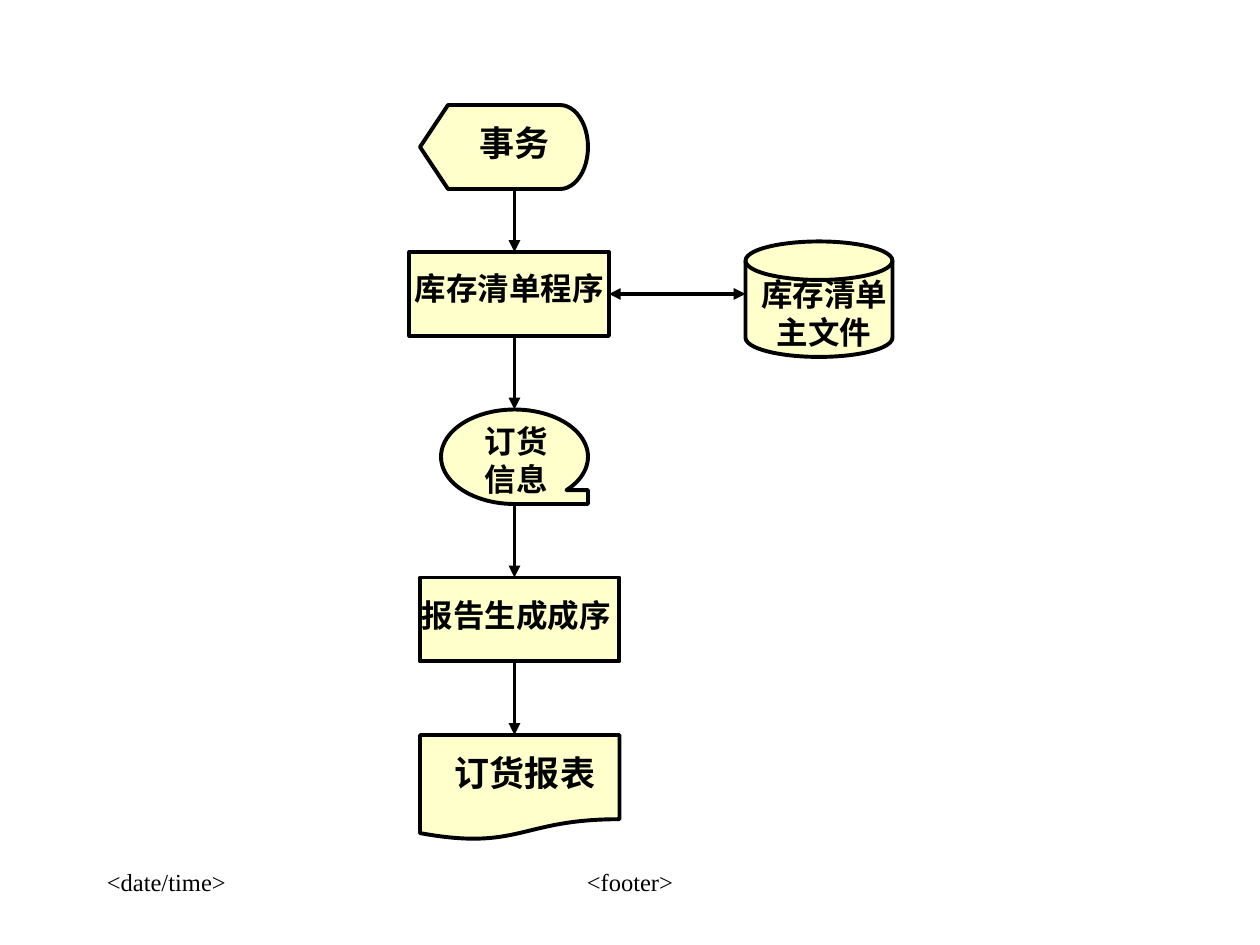
from dataclasses import dataclass

from lxml import etree
from pptx import Presentation
from pptx.dml.color import RGBColor
from pptx.enum.shapes import MSO_CONNECTOR, MSO_SHAPE
from pptx.enum.text import MSO_AUTO_SIZE, PP_ALIGN
from pptx.oxml.ns import qn
from pptx.util import Cm, Pt

STRAIGHT = MSO_CONNECTOR.STRAIGHT
DISPLAY = MSO_SHAPE.FLOWCHART_DISPLAY
RECTANGLE = MSO_SHAPE.RECTANGLE
TAPE = MSO_SHAPE.FLOWCHART_SEQUENTIAL_ACCESS_STORAGE
DOCUMENT = MSO_SHAPE.FLOWCHART_DOCUMENT
DISK = MSO_SHAPE.FLOWCHART_MAGNETIC_DISK
FIT_SHAPE = MSO_AUTO_SIZE.SHAPE_TO_FIT_TEXT
LEFT, CENTER = PP_ALIGN.LEFT, PP_ALIGN.CENTER
RIGHT_SIDE = 3
BLANK_LAYOUT = 6


@dataclass(frozen=True)
class Theme:
    font: str = "Times New Roman"
    ink: RGBColor = RGBColor(0x00, 0x00, 0x00)
    symbol_fill: RGBColor = RGBColor(0xFF, 0xFF, 0xCC)
    line_width: float = 2.25
    large: int = 20
    label: int = 18
    footer: int = 14


def grid(*steps):
    """Turn grid steps (twelve to the inch) into lengths."""
    return [Cm(step * 2.54 / 12) for step in steps]


class FlowchartSlide:
    def __init__(self, slide, theme):
        self.shapes = slide.shapes
        self.theme = theme

    def outline(self, line):
        line.color.rgb = self.theme.ink
        line.width = Pt(self.theme.line_width)

    def symbol(self, kind, *box):
        shape = self.shapes.add_shape(kind, *grid(*box))
        shape.shadow.inherit = False
        shape.fill.solid()
        shape.fill.fore_color.rgb = self.theme.symbol_fill
        self.outline(shape.line)
        return shape

    def arrow(self, *ends, both_ways=False):
        connector = self.shapes.add_connector(STRAIGHT, *grid(*ends))
        self.outline(connector.line)
        line = connector.line._get_or_add_ln()
        for tag in ("a:headEnd", "a:tailEnd") if both_ways else ("a:tailEnd",):
            etree.SubElement(line, qn(tag), type="triangle")
        etree.SubElement(connector._element.spPr, qn("a:effectLst"))
        return connector

    def text(self, words, box, size, align=CENTER, bold=True):
        frame = self.shapes.add_textbox(*grid(*box)).text_frame
        frame.word_wrap = True
        if bold:
            frame.auto_size = FIT_SHAPE
        paragraph = frame.paragraphs[0]
        paragraph.text = words
        paragraph.alignment = align
        font = paragraph.font
        font.name = self.theme.font
        font.size = Pt(size)
        font.bold = bold
        font.color.rgb = self.theme.ink


def main():
    presentation = Presentation()
    presentation.slide_width, presentation.slide_height = Cm(25.4), Cm(19.05)
    slide = presentation.slides.add_slide(
        presentation.slide_layouts[BLANK_LAYOUT])
    theme = Theme()
    flowchart = FlowchartSlide(slide, theme)

    flowchart.text("<footer>", (41, 82, 38, 6), theme.footer, bold=False)
    flowchart.text("<date/time>", (9, 82, 25, 6), theme.footer, LEFT, bold=False)

    flowchart.symbol(DISPLAY, 40, 10, 16, 8)
    inventory_program = flowchart.symbol(RECTANGLE, 39, 24, 19, 8)
    flowchart.symbol(TAPE, 42, 39, 14, 9)
    flowchart.symbol(RECTANGLE, 40, 55, 19, 8)
    flowchart.symbol(DOCUMENT, 40, 70, 19, 10)
    flowchart.symbol(DISK, 71, 23, 14, 11)

    for top, bottom in ((18, 24), (32, 39), (48, 55), (63, 70)):
        flowchart.arrow(49, top, 49, bottom)
    file_access = flowchart.arrow(58, 28, 71, 28, both_ways=True)
    file_access.begin_connect(inventory_program, RIGHT_SIDE)

    for words, box, size, align in (
        ("事务", (43, 11, 12, 5.3), theme.large, CENTER),
        ("库存清单程序", (38, 25, 21, 4.8), theme.label, CENTER),
        ("库存清单主文件", (70, 25.6, 17, 8.4), theme.label, CENTER),
        ("订货信息", (45, 39.6, 11, 8.4), theme.label, LEFT),
        ("报告生成成序", (39, 56.2, 23, 4.8), theme.label, LEFT),
        ("订货报表", (40, 71, 20, 5.3), theme.large, CENTER),
    ):
        flowchart.text(words, box, size, align)

    presentation.save("out.pptx")


if __name__ == "__main__":
    main()
